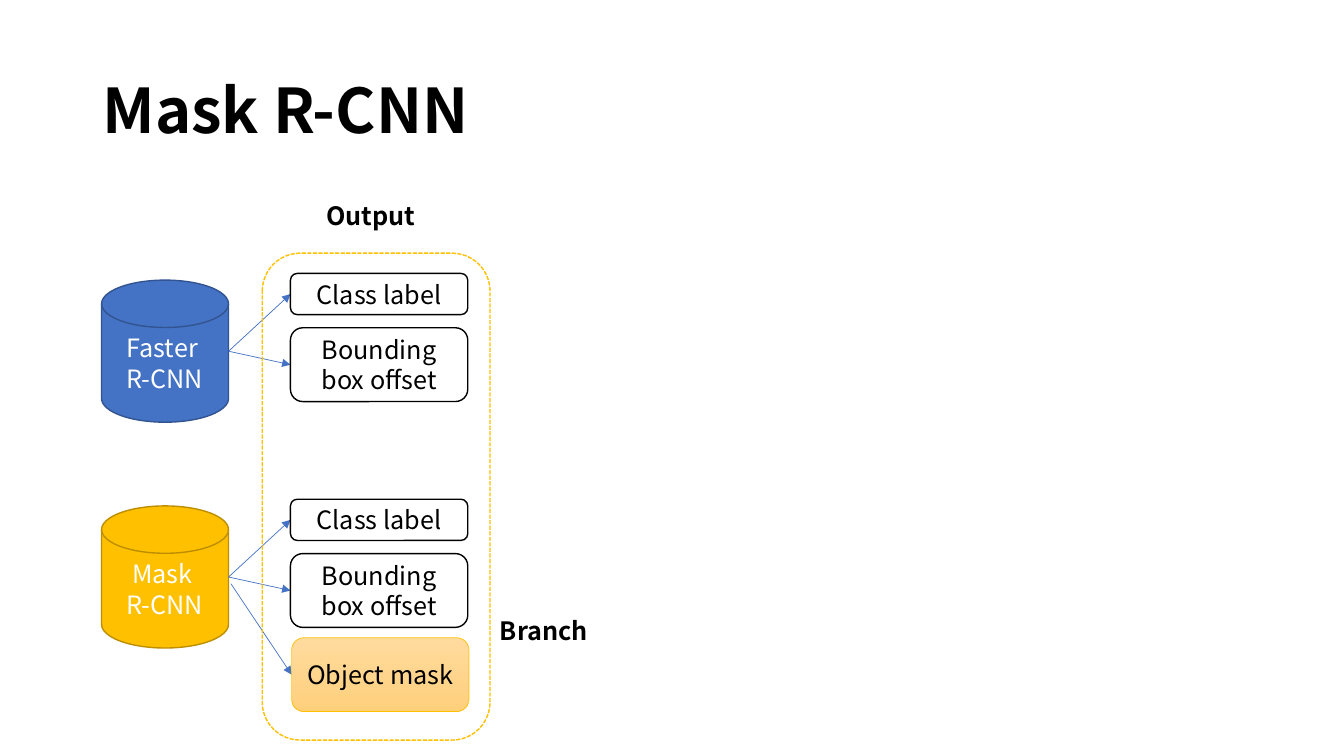
from dataclasses import dataclass

from lxml.etree import SubElement
from pptx import Presentation
from pptx.dml.color import RGBColor
from pptx.enum.dml import MSO_LINE
from pptx.enum.shapes import MSO_CONNECTOR, MSO_SHAPE
from pptx.enum.text import MSO_ANCHOR, MSO_AUTO_SIZE, PP_ALIGN
from pptx.oxml.ns import qn
from pptx.util import Cm, Pt


@dataclass(frozen=True)
class Theme:
    font: str = "Noto Sans CJK KR"
    title_size: int = 44
    text_size: int = 18
    black: str = "000000"
    white: str = "FFFFFF"
    blue: str = "4472C4"
    dark_blue: str = "325491"
    gold: str = "FFC000"
    dark_gold: str = "BD8E00"
    mask_gradient: tuple = ("FFDB9E", "FFD07C")


class SlideBuilder:
    def __init__(self, slide, theme):
        self.slide = slide
        self.theme = theme

    def style(self, paragraph, color, size=None, bold=False):
        font = paragraph.font
        font.name = self.theme.font
        font.size = Pt(size or self.theme.text_size)
        font.bold = bold
        font.color.rgb = RGBColor.from_string(color)

    def title(self, text, left, top, width, height):
        title = self.slide.shapes.title
        title.left, title.top, title.width, title.height = map(Cm, (left, top, width, height))
        frame = title.text_frame
        frame.text = text
        frame.auto_size = MSO_AUTO_SIZE.NONE
        frame.vertical_anchor = MSO_ANCHOR.MIDDLE
        paragraph = frame.paragraphs[0]
        paragraph.alignment = PP_ALIGN.LEFT
        paragraph.line_spacing = 0.9
        self.style(paragraph, self.theme.black, self.theme.title_size, True)

    def heading(self, text, left, top, width, height):
        box = self.slide.shapes.add_textbox(*map(Cm, (left, top, width, height)))
        frame = box.text_frame
        frame.word_wrap = True
        frame.text = text
        self.style(frame.paragraphs[0], self.theme.black, bold=True)

    def shape(self, kind, bounds, fill, line, text="", color=None, weight=1):
        shape = self.slide.shapes.add_shape(kind, *map(Cm, bounds))
        shape.shadow.inherit = False
        if fill is None:
            shape.fill.background()
        elif isinstance(fill, tuple):
            shape.fill.gradient()
            shape.fill.gradient_angle = 270
            for stop, stop_color in zip(shape.fill.gradient_stops, fill):
                stop.color.rgb = RGBColor.from_string(stop_color)
        else:
            shape.fill.solid()
            shape.fill.fore_color.rgb = RGBColor.from_string(fill)
        shape.line.color.rgb = RGBColor.from_string(line)
        shape.line.width = Pt(weight)
        if text:
            frame = shape.text_frame
            frame.text = text
            frame.vertical_anchor = MSO_ANCHOR.MIDDLE
            for paragraph in frame.paragraphs:
                paragraph.alignment = PP_ALIGN.CENTER
                self.style(paragraph, color or self.theme.black)
        return shape

    def arrow(self, start, end):
        arrow = self.slide.shapes.add_connector(
            MSO_CONNECTOR.STRAIGHT, *map(Cm, (*start, *end)))
        arrow.line.color.rgb = RGBColor.from_string(self.theme.blue)
        arrow.line.width = Pt(0.5)
        SubElement(arrow.line._get_or_add_ln(), qn("a:tailEnd"), type="triangle")
        SubElement(arrow._element.spPr, qn("a:effectLst"))

    def network(self, name, top, fill, line):
        """Draw a network disk with its two shared outputs."""
        self.shape(MSO_SHAPE.FLOWCHART_MAGNETIC_DISK, (DISK_LEFT, top, DISK_WIDTH, DISK_HEIGHT),
                   fill, line, name, self.theme.white)
        start = (DISK_LEFT + DISK_WIDTH, top + DISK_HEIGHT / 2)
        for text, offset, height in SHARED_OUTPUTS:
            self.output(text, OUTPUT_LEFT, top + offset, height, start,
                        self.theme.white, self.theme.black)

    def output(self, text, left, top, height, start, fill, line, weight=1):
        self.arrow(start, (left, top + height / 2))
        self.shape(MSO_SHAPE.ROUNDED_RECTANGLE, (left, top, OUTPUT_WIDTH, height),
                   fill, line, text, weight=weight)


# Diagram measures in centimetres
DISK_LEFT, DISK_WIDTH, DISK_HEIGHT = 2.56, 3.2, 3.58
OUTPUT_LEFT, OUTPUT_WIDTH, TALL_OUTPUT = 7.32, 4.47, 1.86
FASTER_TOP, MASK_TOP = 7.06, 12.75
# Text, offset from the disk top, height
SHARED_OUTPUTS = [
    ("Class label", -0.17, 1.04),
    ("Bounding box offset", 1.2, TALL_OUTPUT),
]


def main():
    presentation = Presentation()
    presentation.slide_width, presentation.slide_height = Cm(33.87), Cm(19.05)
    slide = presentation.slides.add_slide(presentation.slide_layouts[5])
    theme = Theme()
    builder = SlideBuilder(slide, theme)

    builder.title("Mask R-CNN", 2.33, 1.01, 29.21, 3.68)

    # Networks and their outputs
    builder.network("Faster \nR-CNN", FASTER_TOP, theme.blue, theme.dark_blue)
    builder.network("Mask \nR-CNN", MASK_TOP, theme.gold, theme.dark_gold)

    # Additional mask branch
    builder.output("Object mask", 7.35, MASK_TOP + 3.32, TALL_OUTPUT, (5.82, 14.71),
                   theme.mask_gradient, theme.gold, 0.5)

    # Output group and headings
    builder.heading("Output", 7.98, 4.93, 3.15, 1.02)
    group = builder.shape(MSO_SHAPE.ROUNDED_RECTANGLE, (6.61, 6.38, 5.74, 12.27),
                          None, theme.gold)
    group.line.dash_style = MSO_LINE.SQUARE_DOT
    builder.heading("Branch", 12.35, 15.37, 3.28, 1.02)

    presentation.save("out.pptx")


if __name__ == "__main__":
    main()
